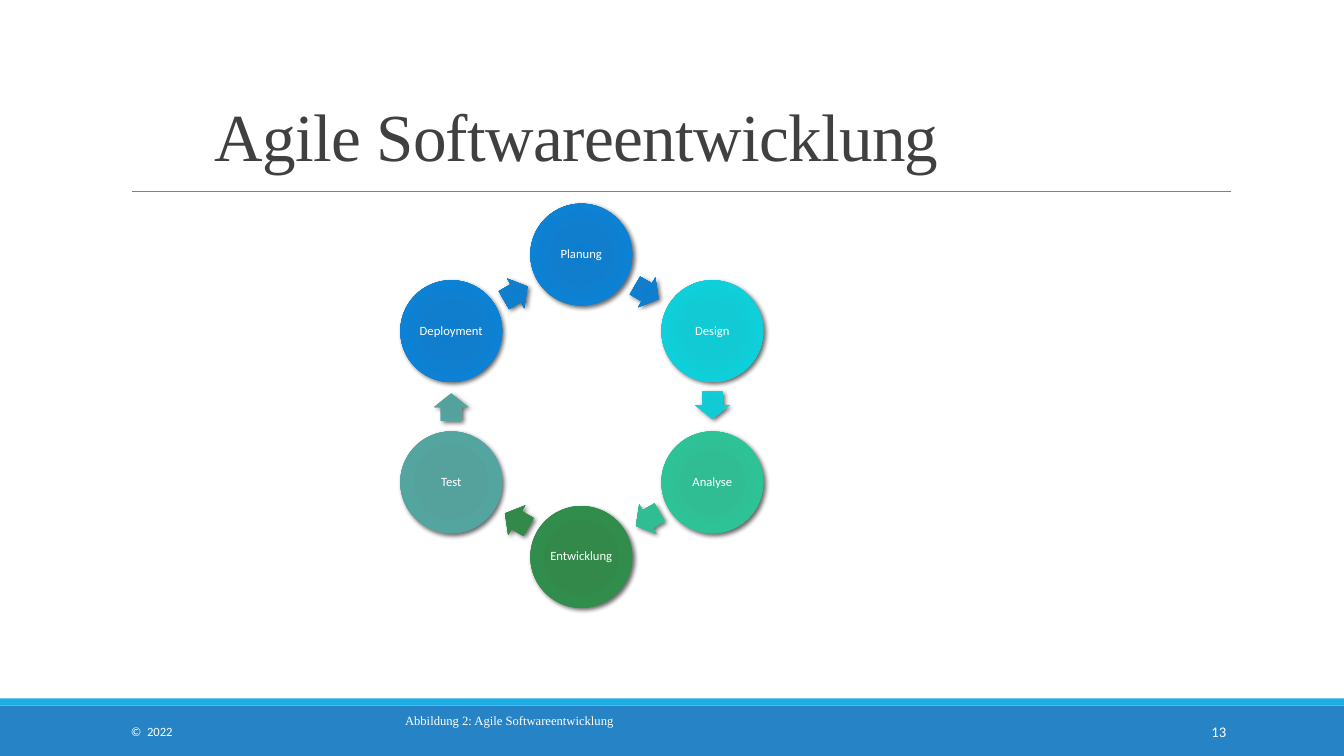
import math
from dataclasses import dataclass

from lxml import etree
from pptx import Presentation
from pptx import util as u
from pptx.dml.color import RGBColor
from pptx.enum import shapes, text
from pptx.oxml import parse_xml
from pptx.oxml.ns import nsdecls, qn
from pptx.shapes.autoshape import Shape
from pptx.slide import Slide

EMU_PER_PX = 9144
SLIDE_WIDTH, SLIDE_HEIGHT = 1333, 750

WHITE = RGBColor(0xFF, 0xFF, 0xFF)
TITLE_GREY = RGBColor(0x40, 0x40, 0x40)
RULE_GREY = RGBColor(0x80, 0x80, 0x80)
FOOTER_BLUE = RGBColor(0x26, 0x83, 0xC6)
STRIPE_BLUE = RGBColor(0x1C, 0xAD, 0xE4)
BLUE = (RGBColor(0x0D, 0x7E, 0xCF), RGBColor(0x11, 0x7E, 0xCD),
        RGBColor(0x0D, 0x81, 0xD4), RGBColor(0x1E, 0x84, 0xCE))
TURQUOISE = (RGBColor(0x0E, 0xCB, 0xD5), RGBColor(0x12, 0xCA, 0xD3),
             RGBColor(0x0F, 0xD0, 0xDA), RGBColor(0x20, 0xCB, 0xD4))
MINT = (RGBColor(0x2D, 0xBE, 0x94), RGBColor(0x30, 0xBD, 0x94),
        RGBColor(0x2E, 0xC3, 0x97), RGBColor(0x3C, 0xC0, 0x9A))
GREEN = (RGBColor(0x2F, 0x89, 0x49), RGBColor(0x32, 0x89, 0x4A),
         RGBColor(0x31, 0x8D, 0x4B), RGBColor(0x3A, 0x8C, 0x51))
TEAL = (RGBColor(0x52, 0xA1, 0x9C), RGBColor(0x55, 0xA1, 0x9C),
        RGBColor(0x54, 0xA5, 0xA0), RGBColor(0x5F, 0xA6, 0xA2))
GRADIENT_POSITIONS = (0, 34, 70, 100)

SANS, SERIF = "Calibri", "Times New Roman"
LEFT, CENTER, RIGHT = text.PP_ALIGN.LEFT, text.PP_ALIGN.CENTER, text.PP_ALIGN.RIGHT
MIDDLE, BOTTOM = text.MSO_ANCHOR.MIDDLE, text.MSO_ANCHOR.BOTTOM

CYCLE_X, CYCLE_Y, CYCLE_RADIUS = 577, 403, 150
CIRCLE_SIZE = 101
ARROW_WIDTH, ARROW_HEIGHT = 27, 34


@dataclass(frozen=True)
class Box:
    left: int
    top: int
    width: int
    height: int


@dataclass(frozen=True)
class Style:
    font: str
    size: float
    color: RGBColor = WHITE
    align: text.PP_ALIGN = LEFT
    anchor: text.MSO_ANCHOR = MIDDLE
    line_spacing: float = 1.0
    tracking: int = 0


@dataclass(frozen=True)
class Label:
    content: str
    box: Box
    style: Style


@dataclass(frozen=True)
class Phase:
    name: str
    colors: tuple[RGBColor, ...]


BARS = (
    (Box(0, 700, SLIDE_WIDTH, 50), FOOTER_BLUE),
    (Box(0, 693, SLIDE_WIDTH, 7), STRIPE_BLUE),
)
LABELS = (
    Label("Agile Softwareentwicklung", Box(203, 116, 843, 63),
          Style(SERIF, 48, TITLE_GREY, anchor=BOTTOM, line_spacing=0.85, tracking=-50)),
    Label("©  2022", Box(120, 706, 270, 40), Style(SANS, 9)),
    Label("Abbildung 2: Agile Softwareentwicklung", Box(119, 695, 772, 40),
          Style(SERIF, 9, align=CENTER)),
    Label("13", Box(1083, 706, 143, 40), Style(SANS, 10.5, align=RIGHT)),
)
PHASES = (
    Phase("Planung", BLUE),
    Phase("Design", TURQUOISE),
    Phase("Analyse", MINT),
    Phase("Entwicklung", GREEN),
    Phase("Test", TEAL),
    Phase("Deployment", BLUE),
)
PHASE_STYLE = Style(SANS, 9, align=CENTER, line_spacing=0.9)


def px(length: int) -> u.Emu:
    return u.Emu(length * EMU_PER_PX)


def place(box: Box) -> tuple[u.Emu, ...]:
    return px(box.left), px(box.top), px(box.width), px(box.height)


def centered(x: float, y: float, width: int, height: int) -> Box:
    return Box(round(x - width / 2), round(y - height / 2), width, height)


def write(shape: Shape, content: str, style: Style) -> None:
    frame = shape.text_frame
    frame.text = content
    frame.word_wrap = True
    frame.vertical_anchor = style.anchor
    paragraph = frame.paragraphs[0]
    paragraph.alignment = style.align
    paragraph.line_spacing = style.line_spacing
    font = paragraph.runs[0].font
    font.name = style.font
    font.size = u.Pt(style.size)
    font.color.rgb = style.color
    if style.tracking:
        paragraph.runs[0]._r.get_or_add_rPr().set("spc", str(style.tracking))


def add_filled(slide: Slide, kind: shapes.MSO_SHAPE, box: Box, color: RGBColor) -> Shape:
    shape = slide.shapes.add_shape(kind, *place(box))
    shape.shadow.inherit = False
    shape.fill.solid()
    shape.fill.fore_color.rgb = color
    shape.line.fill.background()
    return shape


def add_glossy(slide: Slide, kind: shapes.MSO_SHAPE, box: Box,
               colors: tuple[RGBColor, ...]) -> Shape:
    shape = add_filled(slide, kind, box, colors[0])
    properties = shape._element.spPr
    stops = "".join(
        f'<a:gs pos="{position * 1000}"><a:srgbClr val="{color}"/></a:gs>'
        for position, color in zip(GRADIENT_POSITIONS, colors))
    gradient = parse_xml(
        f'<a:gradFill {nsdecls("a")} rotWithShape="1"><a:gsLst>{stops}</a:gsLst>'
        '<a:path path="circle">'
        '<a:fillToRect l="100000" t="100000" r="100000" b="100000"/>'
        '</a:path></a:gradFill>')
    properties.replace(properties.find(qn("a:solidFill")), gradient)
    properties.find(qn("a:effectLst")).append(parse_xml(
        f'<a:outerShdw {nsdecls("a")} blurRad="{u.Pt(3.5)}" dist="{u.Pt(2)}" '
        'dir="2700000" algn="br" rotWithShape="0"><a:srgbClr val="000000">'
        '<a:alpha val="60000"/></a:srgbClr></a:outerShdw>'))
    return shape


def add_phase(slide: Slide, phase: Phase, index: int, step: float) -> None:
    angle = math.radians(index * step - 90)
    circle = add_glossy(slide, shapes.MSO_SHAPE.OVAL, centered(
        CYCLE_X + CYCLE_RADIUS * math.cos(angle),
        CYCLE_Y + CYCLE_RADIUS * math.sin(angle),
        CIRCLE_SIZE, CIRCLE_SIZE), phase.colors)
    write(circle, phase.name, PHASE_STYLE)
    frame = circle.text_frame
    frame.margin_left = frame.margin_right = px(1)
    frame.margin_top = frame.margin_bottom = px(1)

    heading = (index + 0.5) * step
    angle = math.radians(heading - 90)
    distance = CYCLE_RADIUS * math.cos(math.radians(step / 2))
    arrow = add_glossy(slide, shapes.MSO_SHAPE.RIGHT_ARROW, centered(
        CYCLE_X + distance * math.cos(angle) + math.sin(angle),
        CYCLE_Y + distance * math.sin(angle) - math.cos(angle),
        ARROW_WIDTH, ARROW_HEIGHT), phase.colors)
    arrow.adjustments[0] = 0.6
    arrow.adjustments[1] = 0.5
    arrow.rotation = heading


def add_title_rule(slide: Slide) -> None:
    rule = slide.shapes.add_connector(
        shapes.MSO_CONNECTOR.STRAIGHT, px(131), px(190), px(1221), px(190))
    rule.line.color.rgb = RULE_GREY
    rule.line.width = u.Pt(0.5)
    etree.SubElement(rule._element.spPr, qn("a:effectLst"))


def main() -> None:
    presentation = Presentation()
    presentation.slide_width = px(SLIDE_WIDTH)
    presentation.slide_height = px(SLIDE_HEIGHT)
    slide = presentation.slides.add_slide(presentation.slide_layouts[6])
    for box, color in BARS:
        add_filled(slide, shapes.MSO_SHAPE.RECTANGLE, box, color)
    add_title_rule(slide)
    for label in LABELS:
        write(slide.shapes.add_textbox(*place(label.box)), label.content, label.style)
    for index, phase in enumerate(PHASES):
        add_phase(slide, phase, index, 360 / len(PHASES))
    presentation.save("out.pptx")


if __name__ == "__main__":
    main()
